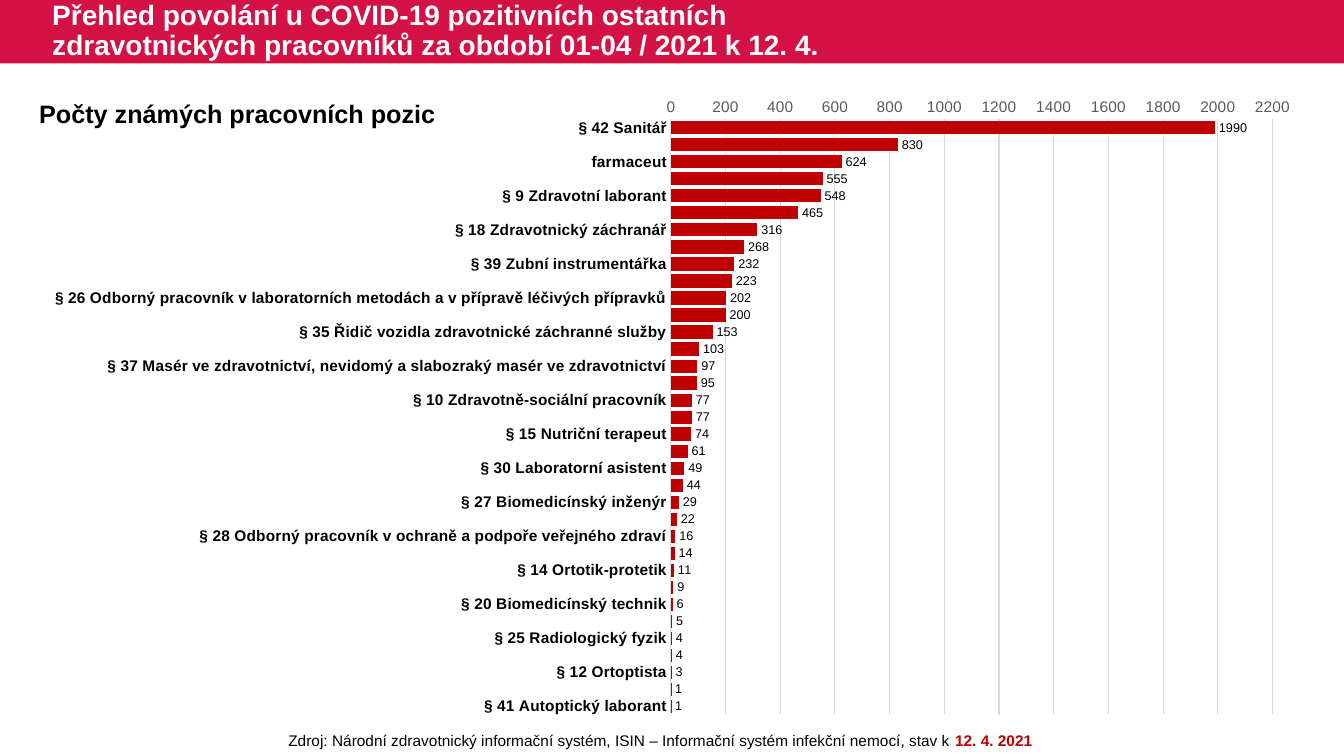
from lxml import etree
from pptx import Presentation
from pptx.chart.data import CategoryChartData
from pptx.dml.color import RGBColor
from pptx.enum.chart import XL_CHART_TYPE as ChartType, XL_LABEL_POSITION as LabelPosition
from pptx.enum.chart import XL_TICK_MARK as TickMark
from pptx.enum.shapes import MSO_SHAPE as Shape
from pptx.enum.text import MSO_ANCHOR as Anchor, PP_ALIGN as Align
from pptx.oxml.ns import qn
from pptx.util import Inches, Pt

CRIMSON = RGBColor(0xD3, 0x11, 0x45)
RED = RGBColor(0xC0, 0x00, 0x00)
BLACK = RGBColor(0x00, 0x00, 0x00)
GREY = RGBColor(0x59, 0x59, 0x59)
LIGHT_GREY = RGBColor(0xD9, 0xD9, 0xD9)
WHITE = RGBColor(0xFF, 0xFF, 0xFF)
FONT = "Arial"

POSITIVE_CASES = [
    ("§ 42 Sanitář", 1990),
    ("§ 24 Fyzioterapeut", 830),
    ("farmaceut", 624),
    ("§ 19 Farmaceutický asistent", 555),
    ("§ 9 Zdravotní laborant", 548),
    ("§ 36 Ošetřovatel", 465),
    ("§ 18 Zdravotnický záchranář", 316),
    ("§ 8 Radiologický asistent", 268),
    ("§ 39 Zubní instrumentářka", 232),
    ("§ 16 Zubní technik", 223),
    ("§ 26 Odborný pracovník v laboratorních metodách a v přípravě léčivých přípravků", 202),
    ("§ 40 Řidič zdravotnické dopravní služby", 200),
    ("§ 35 Řidič vozidla zdravotnické záchranné služby", 153),
    ("§ 17 Dentální hygienistka", 103),
    ("§ 37 Masér ve zdravotnictví, nevidomý a slabozraký masér ve zdravotnictví", 97),
    ("§ 22 Psycholog ve zdravotnictví", 95),
    ("§ 10 Zdravotně-sociální pracovník", 77),
    ("§ 11 Optometrista", 77),
    ("§ 15 Nutriční terapeut", 74),
    ("§ 7 Ergoterapeut", 61),
    ("§ 30 Laboratorní asistent", 49),
    ("§ 23 Logoped ve zdravotnictví", 44),
    ("§ 27 Biomedicínský inženýr", 29),
    ("§ 33 Asistent zubního technika", 22),
    ("§ 28 Odborný pracovník v ochraně a podpoře veřejného zdraví", 16),
    ("§ 21a Adiktolog", 14),
    ("§ 14 Ortotik-protetik", 11),
    ("§ 13 Asistent ochrany a podpory veřejného zdraví", 9),
    ("§ 20 Biomedicínský technik", 6),
    ("§ 32 Nutriční asistent", 5),
    ("§ 25 Radiologický fyzik", 4),
    ("§ 31 Ortoticko-protetický technik", 4),
    ("§ 12 Ortoptista", 3),
    ("§ 21 Radiologický technik", 1),
    ("§ 41 Autoptický laborant", 1),
]


def set_font(font, size, color, bold=False):
    font.name, font.size, font.bold = FONT, Pt(size), bold
    font.color.rgb = color


def add_text(page, left, top, width, height, spans, size, wrap=True):
    """Add a one-paragraph text box; spans are (text, colour, bold)."""
    box = page.shapes.add_textbox(Inches(left), Inches(top), Inches(width), Inches(height))
    box.text_frame.word_wrap = wrap
    para = box.text_frame.paragraphs[0]
    for text, color, bold in spans:
        span = para.add_run()
        span.text = text
        set_font(span.font, size, color, bold)
    return box.text_frame


def add_header(page, left, top, width, height):
    band = page.shapes.add_shape(
        Shape.RECTANGLE, Inches(left), Inches(top), Inches(width), Inches(height))
    band.shadow.inherit = False
    band.fill.solid()
    band.fill.fore_color.rgb = CRIMSON
    band.line.fill.background()
    title = ("Přehled povolání u COVID-19 pozitivních ostatních "
             "zdravotnických pracovníků za období 01-04 / 2021 k 12. 4.")
    frame = add_text(page, left + 0.42, top, 8.26, height, [(title, WHITE, True)], 20)
    frame.vertical_anchor = Anchor.MIDDLE
    frame.paragraphs[0].line_spacing = 0.9


def place_plot(chart, x, y, w, h):
    """Fix the inner plot area as fractions of the chart."""
    plot_area = chart.plots[0]._element.getparent()
    for old in plot_area.findall(qn("c:layout")):
        plot_area.remove(old)
    layout = etree.Element(qn("c:layout"))
    manual = etree.SubElement(layout, qn("c:manualLayout"))
    settings = [("layoutTarget", "inner"), ("xMode", "edge"), ("yMode", "edge"),
                ("x", x), ("y", y), ("w", w), ("h", h)]
    for tag, value in settings:
        etree.SubElement(manual, qn(f"c:{tag}")).set("val", str(value))
    plot_area.insert(0, layout)


def style_axes(chart):
    names, counts = chart.category_axis, chart.value_axis
    for axis in (names, counts):
        axis.major_tick_mark = axis.minor_tick_mark = TickMark.NONE
    names.reverse_order = True
    set_font(names.tick_labels.font, 11, BLACK, True)
    counts.minimum_scale, counts.maximum_scale, counts.major_unit = 0, 2200, 200
    counts.has_major_gridlines = True
    set_font(counts.tick_labels.font, 11, GREY)
    for line in (names.format.line, counts.major_gridlines.format.line):
        line.color.rgb = LIGHT_GREY
        line.width = Pt(0.75)
    counts.format.line.fill.background()


def add_case_chart(page, left, top, width, height):
    data = CategoryChartData()
    data.categories = [name for name, _ in POSITIVE_CASES]
    data.add_series("Počet", [count for _, count in POSITIVE_CASES])
    chart = page.shapes.add_chart(
        ChartType.BAR_CLUSTERED, Inches(left), Inches(top),
        Inches(width), Inches(height), data).chart
    chart.has_legend = chart.has_title = False
    set_font(chart.font, 10, BLACK)
    style_axes(chart)
    place_plot(chart, 0.51, 0.06, 0.46, 0.92)

    plot = chart.plots[0]
    plot.gap_width, plot.overlap, plot.vary_by_categories = 30, 100, False
    bars = plot.series[0]
    bars.format.fill.solid()
    bars.format.fill.fore_color.rgb = RED
    labels = bars.data_labels
    labels.show_value = True
    labels.position = LabelPosition.OUTSIDE_END
    set_font(labels.font, 9, BLACK)


def add_source(page, left, top, width, height):
    source = ("Zdroj: Národní zdravotnický informační systém, "
              "ISIN – Informační systém infekční nemocí, stav k ")
    spans = [(source, BLACK, False), ("12. 4. 2021", RED, True)]
    frame = add_text(page, left, top, width, height, spans, 11)
    frame.paragraphs[0].alignment = Align.CENTER


def main():
    deck = Presentation()
    deck.slide_width, deck.slide_height = Inches(13.33), Inches(7.5)
    page = deck.slides.add_slide(deck.slide_layouts[6])
    add_header(page, 0, 0, 13.33, 0.63)
    add_case_chart(page, 0.04, 0.8, 12.97, 6.42)
    add_source(page, 2.36, 7.2, 8.38, 0.29)
    add_text(page, 0.29, 0.93, 4.16, 0.4,
             [("Počty známých pracovních pozic", BLACK, True)], 18, wrap=False)
    deck.save("out.pptx")


if __name__ == "__main__":
    main()
